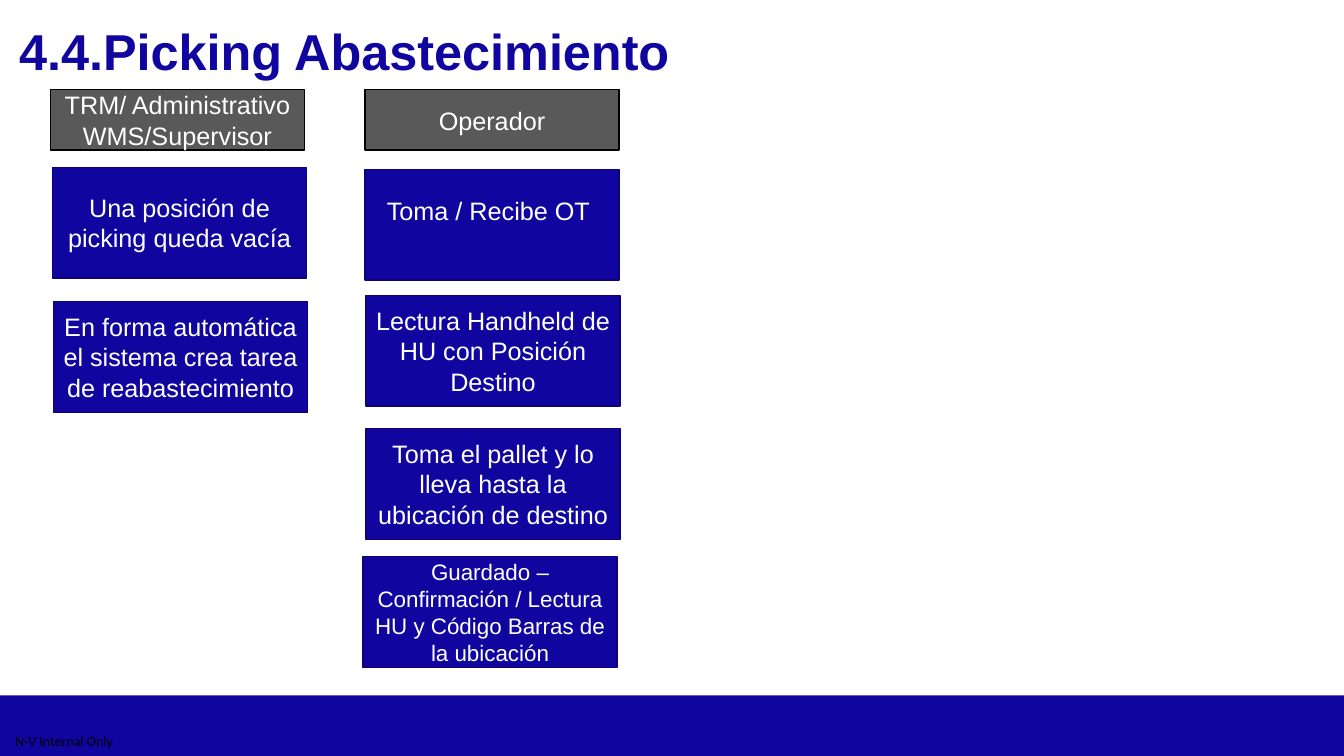
import pptx
import pptx.util
import pptx.dml.color
import pptx.enum.shapes
import pptx.enum.text

RGBColor = pptx.dml.color.RGBColor
ALIGN = pptx.enum.text.PP_ALIGN
ANCHOR = pptx.enum.text.MSO_ANCHOR

BLUE = RGBColor(0x10, 0x06, 0x9F)
BLUE_EDGE = RGBColor(0x0C, 0x04, 0x76)
GRAY = RGBColor(0x59, 0x59, 0x59)
BLACK = RGBColor(0x00, 0x00, 0x00)
WHITE = RGBColor(0xFF, 0xFF, 0xFF)

EMU_PER_PX = 9144  # 100 px to the inch


def px(*lengths):
    return [pptx.util.Emu(length * EMU_PER_PX) for length in lengths]


def write(frame, text, *, size=18, color=WHITE, font="Arial", bold=False,
          align=ALIGN.CENTER, anchor=ANCHOR.MIDDLE, insets=(10, 5, 10, 5)):
    """Fill a text frame; insets are left, top, right, bottom."""
    frame.word_wrap = True
    frame.vertical_anchor = anchor
    (frame.margin_left, frame.margin_top,
     frame.margin_right, frame.margin_bottom) = px(*insets)
    paragraph = frame.paragraphs[0]
    paragraph.alignment = align
    run = paragraph.add_run()
    run.text = text
    run.font.name = font
    run.font.size = pptx.util.Pt(size)
    run.font.bold = bold
    run.font.color.rgb = color


class ProcessSlide:
    BOX_WIDTH = 252
    HEADER_HEIGHT = 60
    STEP_HEIGHT = 110

    def __init__(self, deck):
        self.slide = deck.slides.add_slide(deck.slide_layouts[6])

    def rectangle(self, left, top, width, height, fill, edge=None):
        box = self.slide.shapes.add_shape(
            pptx.enum.shapes.MSO_SHAPE.RECTANGLE, *px(left, top, width, height))
        box.shadow.inherit = False
        box.fill.solid()
        box.fill.fore_color.rgb = fill
        if edge is None:
            box.line.fill.background()
        else:
            box.line.color.rgb = edge
            box.line.width = pptx.util.Pt(1)
        return box

    def label(self, left, top, width, height, text, **style):
        box = self.slide.shapes.add_textbox(*px(left, top, width, height))
        write(box.text_frame, text, **style)

    def header(self, left, top, text):
        box = self.rectangle(left, top, self.BOX_WIDTH, self.HEADER_HEIGHT, GRAY, BLACK)
        write(box.text_frame, text)

    def step(self, left, top, text, **style):
        box = self.rectangle(left, top, self.BOX_WIDTH, self.STEP_HEIGHT, BLUE, BLUE_EDGE)
        write(box.text_frame, text, **style)


def main():
    deck = pptx.Presentation()
    deck.slide_width, deck.slide_height = px(1333, 750)
    picking = ProcessSlide(deck)

    # Footer band and classification label
    picking.rectangle(0, 690, 1333, 60, BLUE)
    picking.label(0, 721, 127, 29, "N-V Internal Only", size=10, color=BLACK,
                  font="Calibri", insets=(0, 0, 0, 0))

    # Title
    picking.label(9, 15, 1272, 70, "4.4.Picking Abastecimiento", size=36, color=BLUE,
                  bold=True, align=ALIGN.LEFT, anchor=ANCHOR.TOP)

    # Column headers
    picking.header(50, 89, "TRM/ Administrativo WMS/Supervisor")
    picking.header(362, 89, "Operador")

    # Steps: left, top, text, format
    steps = [
        (52, 166, "Una posición de picking queda vacía", {}),
        (53, 299, "En forma automática el sistema crea tarea de reabastecimiento", {}),
        (362, 168, "Toma / Recibe OT", {"insets": (10, 5, 17, 34)}),
        (363, 293, "Lectura Handheld de HU con Posición Destino", {}),
        (363, 425, "Toma el pallet y lo lleva hasta la ubicación de destino", {}),
        (360, 552, "Guardado – Confirmación / Lectura HU y Código Barras de la ubicación",
         {"size": 16}),
    ]
    for left, top, text, style in steps:
        picking.step(left, top, text, **style)

    deck.save("out.pptx")


if __name__ == "__main__":
    main()
